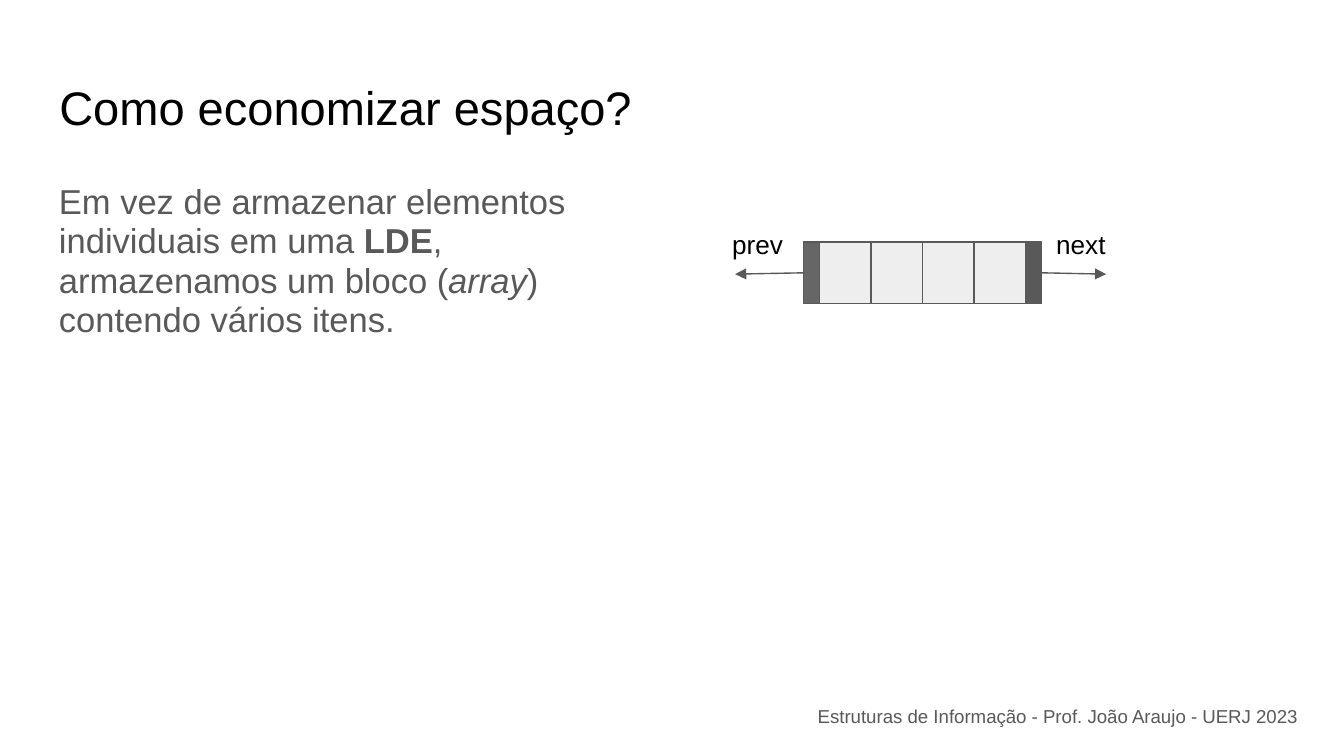
import dataclasses

import lxml.etree
import pptx
import pptx.dml.color
import pptx.enum.shapes
import pptx.enum.text
import pptx.oxml.ns
import pptx.util

RGBColor = pptx.dml.color.RGBColor
BLACK = RGBColor(0x00, 0x00, 0x00)
DARK_GRAY = RGBColor(0x59, 0x59, 0x59)
MID_GRAY = RGBColor(0x66, 0x66, 0x66)
LIGHT_GRAY = RGBColor(0xEE, 0xEE, 0xEE)
WHITE = RGBColor(0xFF, 0xFF, 0xFF)

PITCH = 0.1  # inches per grid column and row
SLIDE_COLUMNS, SLIDE_ROWS = 100, 56.25
ALIGN = pptx.enum.text.PP_ALIGN

ITEM_COUNT = 4
BLOCK_ROW, BLOCK_ROWS = 18, 4.6
ITEMS_LEFT, ITEMS_RIGHT = 61, 76.3
END_COLUMNS = 1.2
ARROW_ROW = 20.4


@dataclasses.dataclass(frozen=True)
class Area:
    """A rectangle in grid columns and rows."""
    column: float
    row: float
    columns: float
    rows: float

    def lengths(self) -> list[int]:
        return [grid(n) for n in (self.column, self.row, self.columns, self.rows)]


@dataclasses.dataclass(frozen=True)
class Run:
    text: str
    bold: bool = False
    italic: bool = False


@dataclasses.dataclass(frozen=True)
class Passage:
    area: Area
    runs: tuple[Run, ...]
    size: float
    color: RGBColor
    paragraph_format: dict = dataclasses.field(default_factory=dict)


@dataclasses.dataclass(frozen=True)
class Pointer:
    """A link of the node: its end cell, label and arrow."""
    label: str
    label_column: float
    cell_column: float
    fill: RGBColor
    side: int
    tip_column: float


TITLE = Passage(Area(3.41, 4.85, 93.2, 6.3), (Run("Como economizar espaço?"),),
                25.2, BLACK, {"alignment": ALIGN.LEFT})
BODY = Passage(
    Area(3.41, 12.6, 43.7, 37.4),
    (Run("Em vez de armazenar elementos individuais em uma "),
     Run("LDE", bold=True),
     Run(", armazenamos um bloco ("),
     Run("array", italic=True),
     Run(") contendo vários itens.")),
    18.5, DARK_GRAY, {"line_spacing": 0.95, "space_after": pptx.util.Pt(12)})
FOOTER = Passage(Area(56.4, 51.45, 41.1, 3),
                 (Run("Estruturas de Informação - Prof. João Araujo - UERJ 2023"),),
                 10, DARK_GRAY, {"alignment": ALIGN.RIGHT})
POINTERS = (
    Pointer("prev", 53.5, ITEMS_LEFT - END_COLUMNS, MID_GRAY, 1, 54.7),
    Pointer("next", 77.6, ITEMS_RIGHT, DARK_GRAY, 3, 82.3),
)


def grid(units: float) -> int:
    return pptx.util.Inches(units * PITCH)


def apply(target, values: dict) -> None:
    for name, value in values.items():
        setattr(target, name, value)


def write_passage(holder, passage: Passage) -> None:
    left, top, width, height = passage.area.lengths()
    apply(holder, {"left": left, "top": top, "width": width, "height": height})
    frame = holder.text_frame
    margins = {f"margin_{side}": grid(1) for side in ("left", "top", "right", "bottom")}
    apply(frame, margins | {
        "word_wrap": True,
        "auto_size": pptx.enum.text.MSO_AUTO_SIZE.NONE,
        "vertical_anchor": pptx.enum.text.MSO_ANCHOR.TOP,
    })
    paragraph = frame.paragraphs[0]
    apply(paragraph, passage.paragraph_format)
    for part in passage.runs:
        run = paragraph.add_run()
        run.text = part.text
        apply(run.font, {"name": "Arial", "size": pptx.util.Pt(passage.size),
                         "bold": part.bold, "italic": part.italic})
        run.font.color.rgb = passage.color


def add_passage(slide, passage: Passage) -> None:
    write_passage(slide.shapes.add_textbox(*passage.area.lengths()), passage)


def draw_outline(line) -> None:
    line.color.rgb = DARK_GRAY
    line.width = pptx.util.Pt(0.75)


def add_cell(slide, area: Area, fill: RGBColor):
    cell = slide.shapes.add_shape(pptx.enum.shapes.MSO_SHAPE.RECTANGLE, *area.lengths())
    cell.shadow.inherit = False
    cell.fill.solid()
    cell.fill.fore_color.rgb = fill
    draw_outline(cell.line)
    return cell


def add_arrow(slide, cell, side: int, tip_column: float) -> None:
    tip = grid(tip_column), grid(ARROW_ROW)
    arrow = slide.shapes.add_connector(pptx.enum.shapes.MSO_CONNECTOR.STRAIGHT, *tip, *tip)
    arrow.begin_connect(cell, side)
    draw_outline(arrow.line)
    qn = pptx.oxml.ns.qn
    properties = arrow.line._get_or_add_ln()
    lxml.etree.SubElement(properties, qn("a:tailEnd"), type="triangle")
    lxml.etree.SubElement(properties.getparent(), qn("a:effectLst"))


def add_node(slide) -> None:
    step = (ITEMS_RIGHT - ITEMS_LEFT) / ITEM_COUNT
    for index in range(ITEM_COUNT):
        add_cell(slide, Area(ITEMS_LEFT + index * step, BLOCK_ROW, step, BLOCK_ROWS),
                 LIGHT_GRAY)
    for pointer in POINTERS:
        end_cell = add_cell(
            slide, Area(pointer.cell_column, BLOCK_ROW, END_COLUMNS, BLOCK_ROWS),
            pointer.fill)
        add_arrow(slide, end_cell, pointer.side, pointer.tip_column)
        add_passage(slide, Passage(Area(pointer.label_column, 16, 7.7, 4.4),
                                   (Run(pointer.label),), 14, BLACK))


def main() -> None:
    presentation = pptx.Presentation()
    apply(presentation, {"slide_width": grid(SLIDE_COLUMNS),
                         "slide_height": grid(SLIDE_ROWS)})
    slide = presentation.slides.add_slide(presentation.slide_layouts[5])
    slide.background.fill.solid()
    slide.background.fill.fore_color.rgb = WHITE
    write_passage(slide.shapes.title, TITLE)
    add_passage(slide, BODY)
    add_node(slide)
    add_passage(slide, FOOTER)
    presentation.save("out.pptx")


if __name__ == "__main__":
    main()
